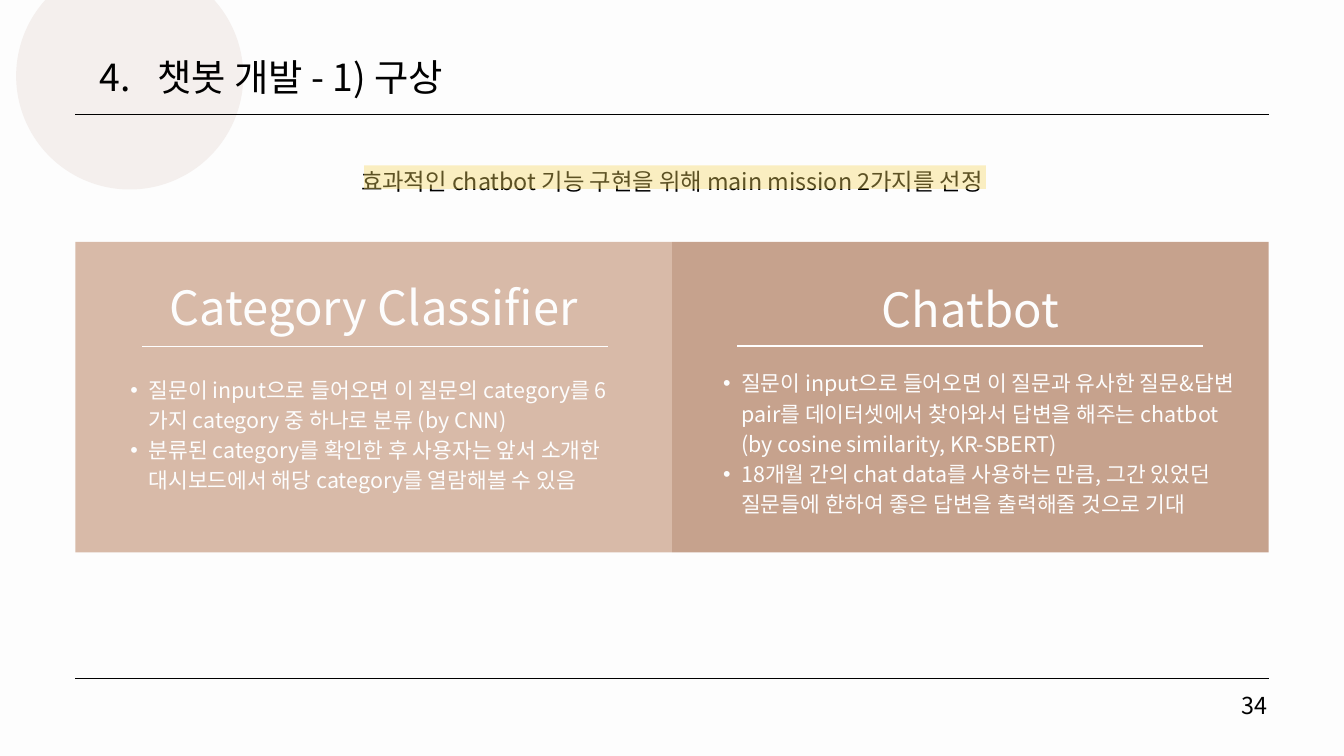
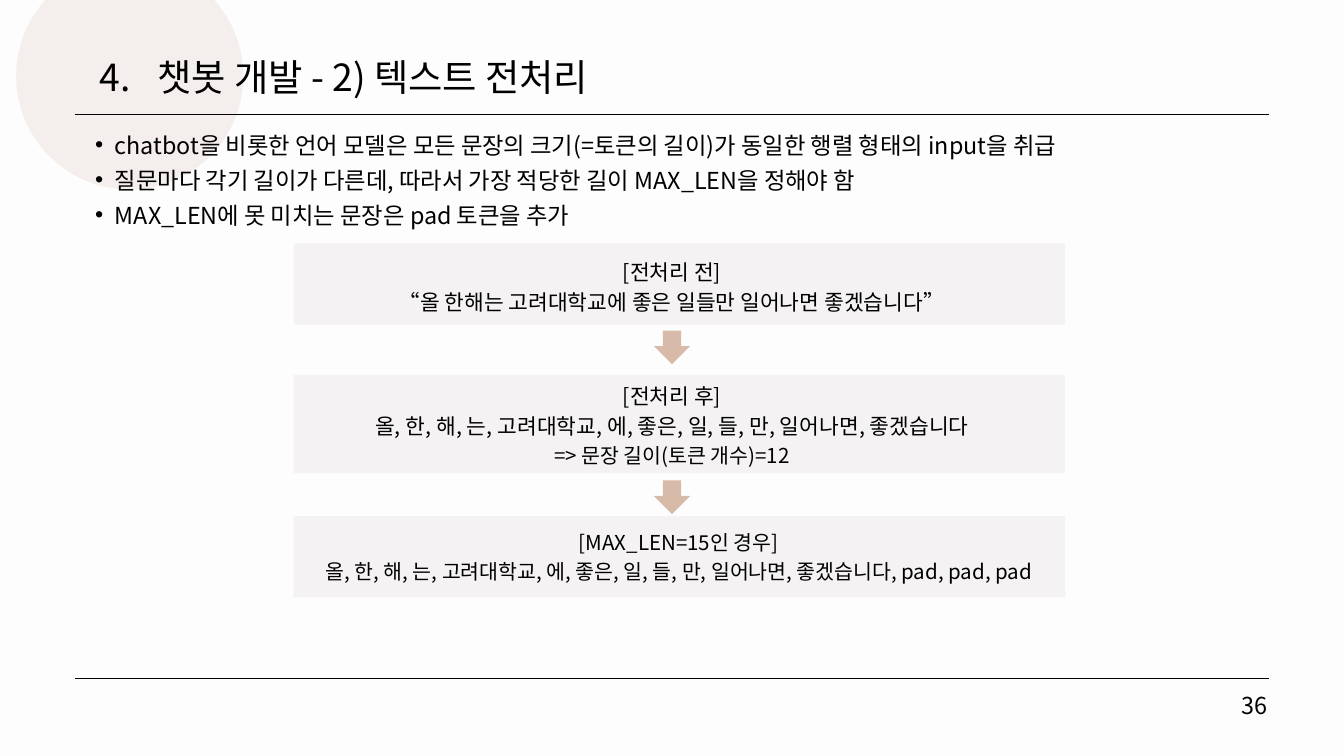
from dataclasses import dataclass

import lxml.etree
import pptx
import pptx.dml.color
import pptx.enum.shapes
import pptx.enum.text
import pptx.oxml.ns
import pptx.util

Inches = pptx.util.Inches
Pt = pptx.util.Pt
qn = pptx.oxml.ns.qn
SHAPE = pptx.enum.shapes.MSO_SHAPE
ALIGN = pptx.enum.text.PP_ALIGN


@dataclass(frozen=True)
class Theme:
    font: str = "Noto Sans CJK KR"
    paper: str = "FDFDFD"
    ink: str = "000000"
    white: str = "FFFFFF"
    circle: str = "F4EFED"
    sand: str = "D8BAA8"
    clay: str = "C6A28D"
    mist: str = "F4F2F2"
    marker: str = "F6D861"
    title: float = 40
    heading: float = 50.5
    body: float = 25
    detail: float = 23
    small: float = 22
    rule: float = 1.5
    left: float = 1.12
    right: float = 18.88
    width: float = 20
    height: float = 11.25


T = Theme()


def rgb(color):
    return pptx.dml.color.RGBColor.from_string(color)


def add_child(parent, tag, **attrs):
    return lxml.etree.SubElement(parent, qn(tag), attrs)


def add_text(slide, text, x, y, w, h, size=T.body, color=T.ink, align=ALIGN.LEFT,
             spacing=1.4, indent=None, tab=None):
    tf = slide.shapes.add_textbox(Inches(x), Inches(y), Inches(w), Inches(h)).text_frame
    tf.margin_left = tf.margin_right = tf.margin_top = tf.margin_bottom = 0
    tf.word_wrap = True
    tf.auto_size = pptx.enum.text.MSO_AUTO_SIZE.SHAPE_TO_FIT_TEXT
    lines = [text] if isinstance(text, str) else text
    sizes = size if isinstance(size, list) else [size] * len(lines)
    for i, (line, pts) in enumerate(zip(lines, sizes)):
        p = tf.add_paragraph() if i else tf.paragraphs[0]
        p.alignment = align
        p.line_spacing = Pt(pts * spacing)
        pPr = p._p.get_or_add_pPr()
        if indent:
            pPr.set("marL", str(Inches(indent)))
            pPr.set("indent", str(-Inches(indent / 2)))
            add_child(pPr, "a:buFont", typeface="Arial")
            add_child(pPr, "a:buChar", char="•")
        if tab:
            tabs = add_child(pPr, "a:tabLst")
            add_child(tabs, "a:tab", pos=str(Inches(tab)), algn="l")
        r = p.add_run()
        r.text = line
        r.font.size = Pt(pts)
        r.font.color.rgb = rgb(color)
        r.font.name = T.font
        add_child(r._r.get_or_add_rPr(), "a:ea", typeface=T.font)


def add_block(slide, x, y, w, h, color, kind=SHAPE.RECTANGLE, alpha=None):
    sp = slide.shapes.add_shape(kind, Inches(x), Inches(y), Inches(w), Inches(h))
    sp.shadow.inherit = False
    sp.fill.solid()
    sp.fill.fore_color.rgb = rgb(color)
    sp.line.fill.background()
    if alpha:
        fill = sp._element.spPr.find(qn("a:solidFill"))
        add_child(fill[0], "a:alpha", val=str(alpha * 1000))
    return sp


def add_rule(slide, x1, x2, y, color=T.ink):
    line = slide.shapes.add_connector(pptx.enum.shapes.MSO_CONNECTOR.STRAIGHT,
                                      Inches(x1), Inches(y), Inches(x2), Inches(y))
    line.line.color.rgb = rgb(color)
    line.line.width = Pt(T.rule)
    add_child(line._element.spPr, "a:effectLst")


def add_down_arrow(slide, y):
    w, h = 0.54, 0.5
    sp = add_block(slide, (T.width - w) / 2, y, w, h, T.sand, SHAPE.DOWN_ARROW)
    sp.adjustments[0] = 0.5
    sp.adjustments[1] = 0.54


def add_base_slide(prs, title, number):
    slide = prs.slides.add_slide(prs.slide_layouts[6])
    add_rule(slide, T.left, T.right, 10.1)
    add_block(slide, 0.24, -0.56, 3.38, 3.38, T.circle, SHAPE.OVAL)
    add_rule(slide, T.left, T.right, 1.7)
    add_text(slide, title, 1.48, 0.69, 9.8, 0.76, size=T.title, tab=0.86)
    add_text(slide, number, 18.46, 10.21, 0.42, 0.47, align=ALIGN.CENTER)
    return slide


def add_mission(slide, x, color, heading, heading_y, rule_x, rule_y, points, points_box):
    w = (T.right - T.left) / 2
    add_block(slide, x, 3.6, w, 4.62, color)
    add_text(slide, heading, x, heading_y, w, 0.97, size=T.heading, color=T.paper,
             align=ALIGN.CENTER)
    add_rule(slide, rule_x, rule_x + 6.93, rule_y, T.white)
    add_text(slide, points, *points_box, size=T.detail, color=T.paper, indent=0.54)


def add_stage(slide, y, h, text, text_x, text_y, size):
    add_block(slide, 4.37, y, 11.48, h, T.mist)
    add_text(slide, text, text_x, text_y, T.width, 0.43 * len(text), size=size,
             align=ALIGN.CENTER)


def build_concept(prs):
    slide = add_base_slide(prs, "4.\t챗봇 개발 - 1) 구상", "34")
    add_mission(slide, T.left, T.sand, "Category Classifier", 4.01, 2.12, 5.16, [
        "질문이 input으로 들어오면 이 질문의 category를 6가지 category 중 하나로 분류 (by CNN)",
        "분류된 category를 확인한 후 사용자는 앞서 소개한 대시보드에서 해당 category를 열람해볼 수 있음",
    ], (1.67, 5.55, 7.78, 1.76))
    add_mission(slide, T.width / 2, T.clay, "Chatbot", 4.03, 10.97, 5.15, [
        "질문이 input으로 들어오면 이 질문과 유사한 질문&답변 pair를 데이터셋에서 찾아와서 "
        "답변을 해주는 chatbot (by cosine similarity, KR-SBERT)",
        "18개월 간의 chat data를 사용하는 만큼, 그간 있었던 질문들에 한하여 좋은 답변을 출력해줄 것으로 기대",
    ], (10.49, 5.45, 7.9, 2.2))
    add_text(slide, "효과적인 chatbot 기능 구현을 위해 main mission 2가지를 선정",
             0, 2.42, T.width, 0.47, align=ALIGN.CENTER)
    add_block(slide, 5.42, 2.46, 9.25, 0.35, T.marker, alpha=38)


def build_preprocessing(prs):
    slide = add_base_slide(prs, "4.\t챗봇 개발 - 2) 텍스트 전처리", "36")
    add_text(slide, [
        "chatbot을 비롯한 언어 모델은 모든 문장의 크기(=토큰의 길이)가 동일한 행렬 형태의 input을 취급",
        "질문마다 각기 길이가 다른데, 따라서 가장 적당한 길이 MAX_LEN을 정해야 함",
        "MAX_LEN에 못 미치는 문장은 pad 토큰을 추가",
    ], T.left, 1.84, 17.75, 1.52, spacing=1.5, indent=0.59)
    tokens = "올, 한, 해, 는, 고려대학교, 에, 좋은, 일, 들, 만, 일어나면, 좋겠습니다"
    add_stage(slide, 3.62, 1.21,
              ["[전처리 전]", "“올 한해는 고려대학교에 좋은 일들만 일어나면 좋겠습니다”"],
              0, 3.79, T.detail)
    add_stage(slide, 5.58, 1.46,
              ["[전처리 후]", tokens, "=> 문장 길이(토큰 개수)=12"],
              0, 5.63, [T.detail, T.detail, T.small])
    add_stage(slide, 7.68, 1.21,
              ["[MAX_LEN=15인 경우]", tokens + ", pad, pad, pad"],
              0.1, 7.83, T.small)
    for y in (4.92, 7.15):
        add_down_arrow(slide, y)


def main():
    prs = pptx.Presentation()
    prs.slide_width = Inches(T.width)
    prs.slide_height = Inches(T.height)
    fill = prs.slide_master.background.fill
    fill.solid()
    fill.fore_color.rgb = rgb(T.paper)
    build_concept(prs)
    build_preprocessing(prs)
    prs.save("out.pptx")


if __name__ == "__main__":
    main()
